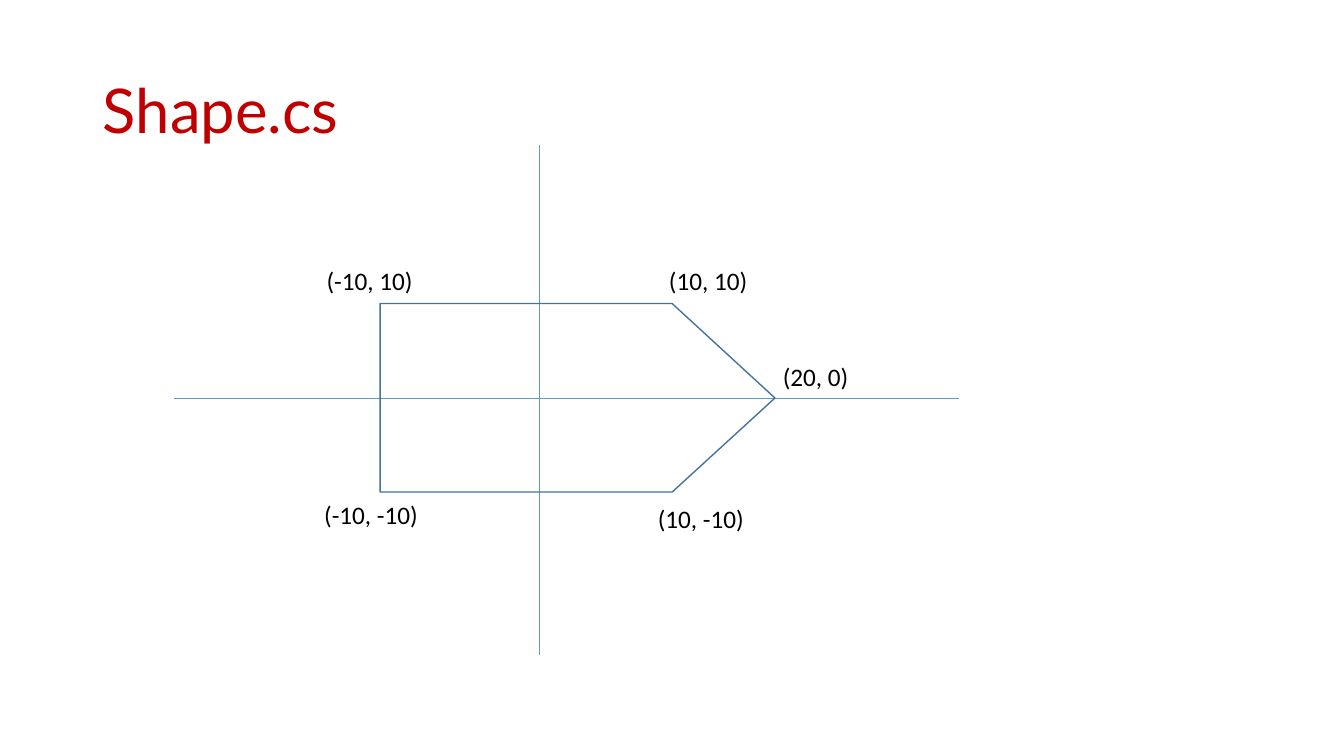
from pptx import Presentation
from pptx.dml.color import RGBColor
from pptx.enum import shapes, text
from pptx.oxml.ns import qn
from pptx.util import Cm, Pt
from lxml import etree

RED = RGBColor(0xC0, 0x00, 0x00)
BLACK = RGBColor(0x00, 0x00, 0x00)
AXIS_BLUE = RGBColor(0x5B, 0x9B, 0xD5)
OUTLINE_BLUE = RGBColor(0x43, 0x73, 0x9E)

TITLE = "Shape.cs"
AXES = [
    ((4.39, 10.03), (24.16, 10.03)),
    ((13.59, 16.51), (13.59, 3.66)),
]
VERTICES = [(9.58, 7.65), (16.94, 7.65), (19.53, 10.03), (16.94, 12.4), (9.58, 12.4)]
LABELS = [
    ("(10, 10)", 16.61, 6.55, 2.51),
    ("(-10, 10)", 7.98, 6.55, 2.72),
    ("(-10, -10)", 7.92, 12.47, 2.9),
    ("(10, -10)", 16.33, 12.55, 2.72),
    ("(20, 0)", 19.48, 8.99, 2.18),
]
LABEL_HEIGHT = 1.02


def add_title(slide):
    title = slide.shapes.title
    title.left, title.top, title.width, title.height = Cm(2.34), Cm(1.02), Cm(29.21), Cm(3.69)
    title.text_frame.text = TITLE
    title.text_frame.vertical_anchor = text.MSO_ANCHOR.MIDDLE
    paragraph = title.text_frame.paragraphs[0]
    paragraph.alignment = text.PP_ALIGN.LEFT
    paragraph.line_spacing = 0.9
    set_font(paragraph, "Lato", 44, RED)


def set_font(paragraph, name, size, color):
    paragraph.font.name = name
    paragraph.font.size = Pt(size)
    paragraph.font.color.rgb = color


def add_axis(slide, start, end):
    axis = slide.shapes.add_connector(
        shapes.MSO_CONNECTOR.STRAIGHT, *(Cm(value) for value in start + end))
    axis.line.color.rgb = AXIS_BLUE
    axis.line.width = Pt(0.5)
    etree.SubElement(axis._element.spPr, qn("a:effectLst"))


def add_outline(slide):
    points = [(Cm(x), Cm(y)) for x, y in VERTICES]
    builder = slide.shapes.build_freeform(*points[0])
    builder.add_line_segments(points[1:], close=True)
    outline = builder.convert_to_shape()
    outline.shadow.inherit = False
    outline.fill.background()
    outline.line.color.rgb = OUTLINE_BLUE
    outline.line.width = Pt(1)


def add_label(slide, words, left, top, width):
    label = slide.shapes.add_textbox(Cm(left), Cm(top), Cm(width), Cm(LABEL_HEIGHT))
    frame = label.text_frame
    frame.word_wrap = False
    frame.auto_size = text.MSO_AUTO_SIZE.SHAPE_TO_FIT_TEXT
    frame.text = words
    set_font(frame.paragraphs[0], "Calibri", 18, BLACK)


def main():
    presentation = Presentation()
    presentation.slide_width, presentation.slide_height = Cm(33.87), Cm(19.05)
    slide = presentation.slides.add_slide(presentation.slide_layouts[5])
    add_title(slide)
    for start, end in AXES:
        add_axis(slide, start, end)
    add_outline(slide)
    for label in LABELS:
        add_label(slide, *label)
    presentation.save("out.pptx")


if __name__ == "__main__":
    main()
